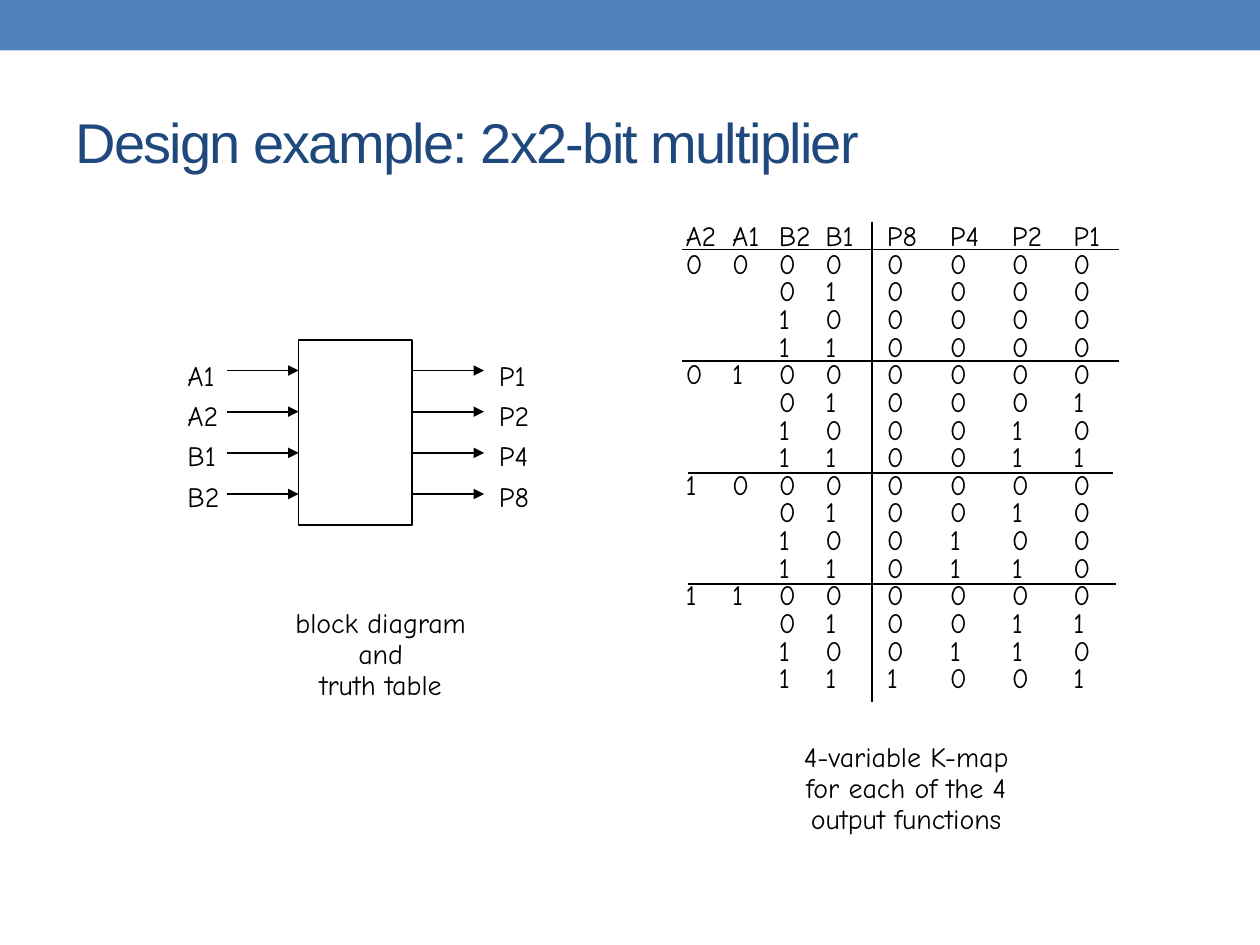
from itertools import product
from pptx import Presentation
from pptx.dml.color import RGBColor
from pptx.enum.shapes import MSO_CONNECTOR, MSO_SHAPE
from pptx.enum.text import MSO_ANCHOR, PP_ALIGN
from pptx.oxml.ns import qn
from pptx.util import Cm, Pt
from lxml.etree import SubElement

BLACK = RGBColor(0x00, 0x00, 0x00)
BLUE = RGBColor(0x4F, 0x81, 0xBD)
NAVY = RGBColor(0x1F, 0x49, 0x7D)

TITLE = "Design example: 2x2-bit multiplier"
INPUTS = ["A1", "A2", "B1", "B2"]
OUTPUTS = ["P1", "P2", "P4", "P8"]
CAPTIONS = [
    (["block diagram", "and", "truth table"], (5.26, 12.17, 4.83, 2.24)),
    (["4-variable K-map", "for each of the 4", "output functions"],
     (15.21, 14.88, 6.12, 2.24)),
]
HEADER = ["A2", "A1", "B2", "B1", "P8", "P4", "P2", "P1"]
TABS = [0.94, 1.88, 2.82, 4.06, 5.33, 6.58, 7.82]
RULE_SPANS = [(13.74, 22.56), (13.74, 22.56), (13.87, 22.43), (13.87, 22.5)]
RULE_TOP, RULE_STEP = 5.03, 2.25
BLOCK = (6.02, 6.86, 2.29, 3.73)
ARROW_TOP, ARROW_STEP, ARROW_LENGTH = 7.47, 0.83, 1.45
LABEL_TOP, LABEL_SIZE = 7.01, (0.84, 3.35)


def add_text(slide, lines, box, size=16, font="Comic Neue", color=BLACK,
             align=PP_ALIGN.LEFT, anchor=MSO_ANCHOR.TOP, inset=(0.05, 0.08),
             spacing=None, tracking=None, tabs=()):
    tf = slide.shapes.add_textbox(*map(Cm, box)).text_frame
    tf.word_wrap = True
    tf.vertical_anchor = anchor
    tf.margin_left = tf.margin_right = Cm(inset[0])
    tf.margin_top = tf.margin_bottom = Cm(inset[1])
    for i, line in enumerate(lines):
        p = tf.paragraphs[0] if i == 0 else tf.add_paragraph()
        if tabs:
            tab_list = SubElement(p._p.get_or_add_pPr(), qn("a:tabLst"))
            for tab in tabs:
                SubElement(tab_list, qn("a:tab"), pos=str(Cm(tab)), algn="l")
        p.alignment = align
        p.line_spacing = spacing
        r = p.add_run()
        r.text = line
        r.font.size = Pt(size)
        r.font.name = font
        r.font.color.rgb = color
        if tracking:
            r._r.get_or_add_rPr().set("spc", str(tracking * 100))


def add_box(slide, box, fill=None, line=None):
    sp = slide.shapes.add_shape(MSO_SHAPE.RECTANGLE, *map(Cm, box))
    sp.shadow.inherit = False
    if fill is None:
        sp.fill.background()
    else:
        sp.fill.solid()
        sp.fill.fore_color.rgb = fill
    if line is None:
        sp.line.fill.background()
    else:
        sp.line.color.rgb = line
        sp.line.width = Pt(1)


def add_line(slide, x1, y1, x2, y2, arrow=False):
    cxn = slide.shapes.add_connector(
        MSO_CONNECTOR.STRAIGHT, Cm(x1), Cm(y1), Cm(x2), Cm(y2))
    cxn.line.color.rgb = BLACK
    cxn.line.width = Pt(1)
    if arrow:
        SubElement(cxn.line._get_or_add_ln(), qn("a:tailEnd"), type="triangle")
    SubElement(cxn._element.spPr, qn("a:effectLst"))


def truth_rows():
    rows = [HEADER]
    for a, b in product(range(4), repeat=2):
        a_bits = list(f"{a:02b}") if b == 0 else ["", ""]
        rows.append(a_bits + list(f"{b:02b}{a * b:04b}"))
    return ["\t".join(row) for row in rows]


def main():
    prs = Presentation()
    prs.slide_width, prs.slide_height = Cm(25.4), Cm(19.05)
    s = prs.slides.add_slide(prs.slide_layouts[6])

    add_box(s, (0, 0, 25.4, 1.02), fill=BLUE)
    add_text(s, [TITLE], (1.27, 1.47, 22.86, 2.74), size=32, font="Arial",
             color=NAVY, anchor=MSO_ANCHOR.MIDDLE, inset=(0.25, 0.13),
             tracking=-1)
    for lines, box in CAPTIONS:
        add_text(s, lines, box, align=PP_ALIGN.CENTER, spacing=Pt(17.8))

    for i, (left, right) in enumerate(RULE_SPANS):
        y = RULE_TOP + i * RULE_STEP
        add_line(s, left, y, right, y)
    add_line(s, 17.58, 4.47, 17.58, 14.15)
    add_text(s, truth_rows(), (13.77, 4.45, 8.97, 10.39),
             spacing=Pt(15.8), tabs=TABS)

    add_box(s, BLOCK, line=BLACK)
    block_left, block_right = BLOCK[0], BLOCK[0] + BLOCK[2]
    for labels, label_x, arrow_x in [
            (INPUTS, 3.73, block_left - ARROW_LENGTH),
            (OUTPUTS, 10.01, block_right)]:
        add_text(s, labels, (label_x, LABEL_TOP, *LABEL_SIZE), spacing=1.2)
        for i in range(len(labels)):
            y = ARROW_TOP + i * ARROW_STEP
            add_line(s, arrow_x, y, arrow_x + ARROW_LENGTH, y, arrow=True)

    prs.save("out.pptx")


if __name__ == "__main__":
    main()
